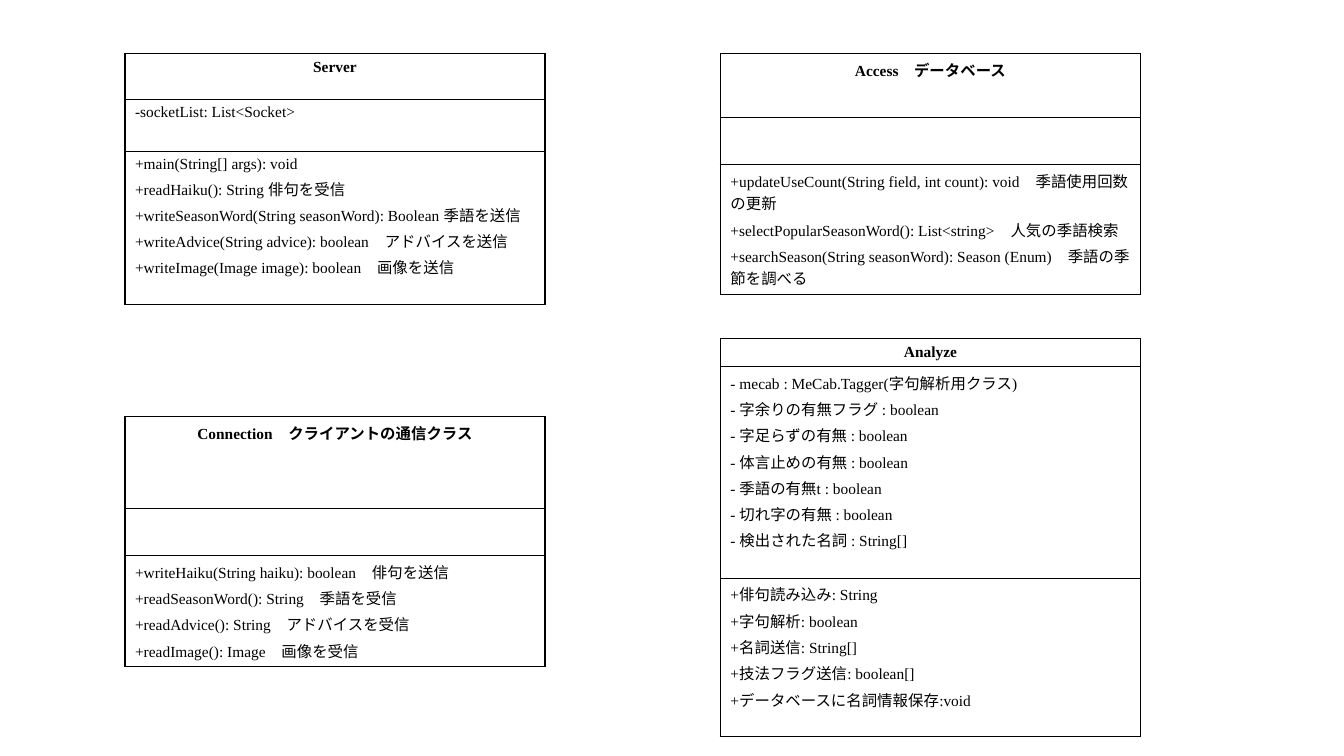
from lxml import etree
from pptx import Presentation
from pptx.dml.color import RGBColor
from pptx.enum.text import PP_ALIGN
from pptx.oxml.ns import qn
from pptx.util import Inches, Pt

CENTER, LEFT = PP_ALIGN.CENTER, PP_ALIGN.LEFT
WIDE, HIGH = Inches(13.34), Inches(7.5)
INK = "000000"
THICK, THIN = 1.08, 0.45
FONT = {"name": "Times New Roman", "size": Pt(11)}

# Columns, tops and row heights are percentages of the slide
COL_A, COL_B, SPAN = 9.3, 53.6, 31.26
CLASSES = [
    (COL_A, 7.07, [
        (6, ["Server"]),
        (6.9, ["-socketList: List<Socket>"]),
        (20.3, ["+main(String[] args): void",
                "+readHaiku(): String 俳句を受信",
                "+writeSeasonWord(String seasonWord): Boolean 季語を送信",
                "+writeAdvice(String advice): boolean　アドバイスを送信",
                "+writeImage(Image image): boolean　画像を送信"])]),
    (COL_B, 7.07, [
        (8.5, ["Access　データベース"]),
        (6.2, []),
        (17.1, ["+updateUseCount(String field, int count): void　季語使用回数の更新",
                "+selectPopularSeasonWord(): List<string>　人気の季語検索",
                "+searchSeason(String seasonWord): Season (Enum)　季語の季節を調べる"])]),
    (COL_A, 55.07, [
        (12.2, ["Connection　クライアントの通信クラス"]),
        (6.2, []),
        (14.7, ["+writeHaiku(String haiku): boolean　俳句を送信",
                "+readSeasonWord(): String　季語を受信",
                "+readAdvice(): String　アドバイスを受信",
                "+readImage(): Image　画像を受信"])]),
    (COL_B, 44.8, [
        (3.65, ["Analyze"]),
        (28, ["- mecab : MeCab.Tagger(字句解析用クラス)",
              "- 字余りの有無フラグ : boolean",
              "- 字足らずの有無 : boolean",
              "- 体言止めの有無 : boolean",
              "- 季語の有無t : boolean",
              "- 切れ字の有無 : boolean",
              "- 検出された名詞 : String[]"]),
        (21, ["+俳句読み込み: String",
              "+字句解析: boolean",
              "+名詞送信: String[]",
              "+技法フラグ送信: boolean[]",
              "+データベースに名詞情報保存:void"])]),
]


def color(code):
    return RGBColor.from_string(code)


def across(share):
    return int(WIDE * share / 100)


def down(share):
    return int(HIGH * share / 100)


def frame(cell, top, base):
    """Rule the four edges of a cell."""
    props = cell._tc.get_or_add_tcPr()
    for side, size in zip("LRTB", (THICK, THICK, top, base)):
        line = etree.SubElement(props, qn(f"a:ln{side}"), w=str(Pt(size)))
        fill = etree.SubElement(line, qn("a:solidFill"))
        etree.SubElement(fill, qn("a:srgbClr"), val=INK)
    cell.fill.background()


def write(cell, lines, head):
    """Set one paragraph per member of the class."""
    text = cell.text_frame
    for i, line in enumerate(lines):
        para = text.add_paragraph() if i else text.paragraphs[0]
        para.alignment = CENTER if head else LEFT
        para.space_before = Pt(2.8 if i else 0)
        run = para.add_run()
        run.text = line
        for key, value in {**FONT, "bold": head}.items():
            setattr(run.font, key, value)
        run.font.color.rgb = color(INK)


def draw_class(slide, left, top, rows):
    """Draw a class box: name, fields, methods."""
    tall = sum(share for share, _ in rows)
    table = slide.shapes.add_table(
        len(rows), 1, across(left), down(top), across(SPAN), down(tall)).table
    table.first_row = table.horz_banding = False
    last = len(rows) - 1
    for i, (share, lines) in enumerate(rows):
        table.rows[i].height = down(share)
        cell = table.cell(i, 0)
        frame(cell, THIN if i else THICK, THICK if i == last else THIN)
        write(cell, lines, i == 0)


def main():
    deck = Presentation()
    deck.slide_width, deck.slide_height = WIDE, HIGH
    slide = deck.slides.add_slide(deck.slide_layouts[6])
    for left, top, rows in CLASSES:
        draw_class(slide, left, top, rows)
    deck.save("out.pptx")


if __name__ == "__main__":
    main()
